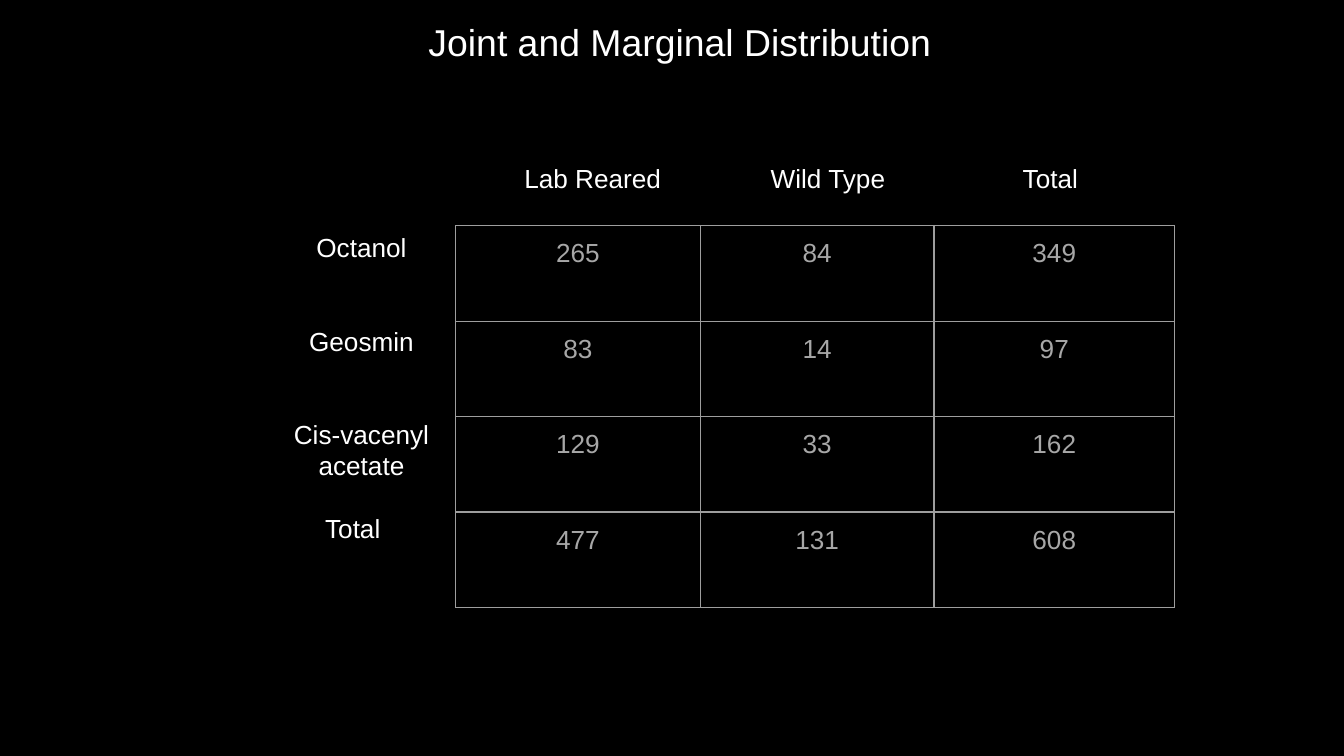
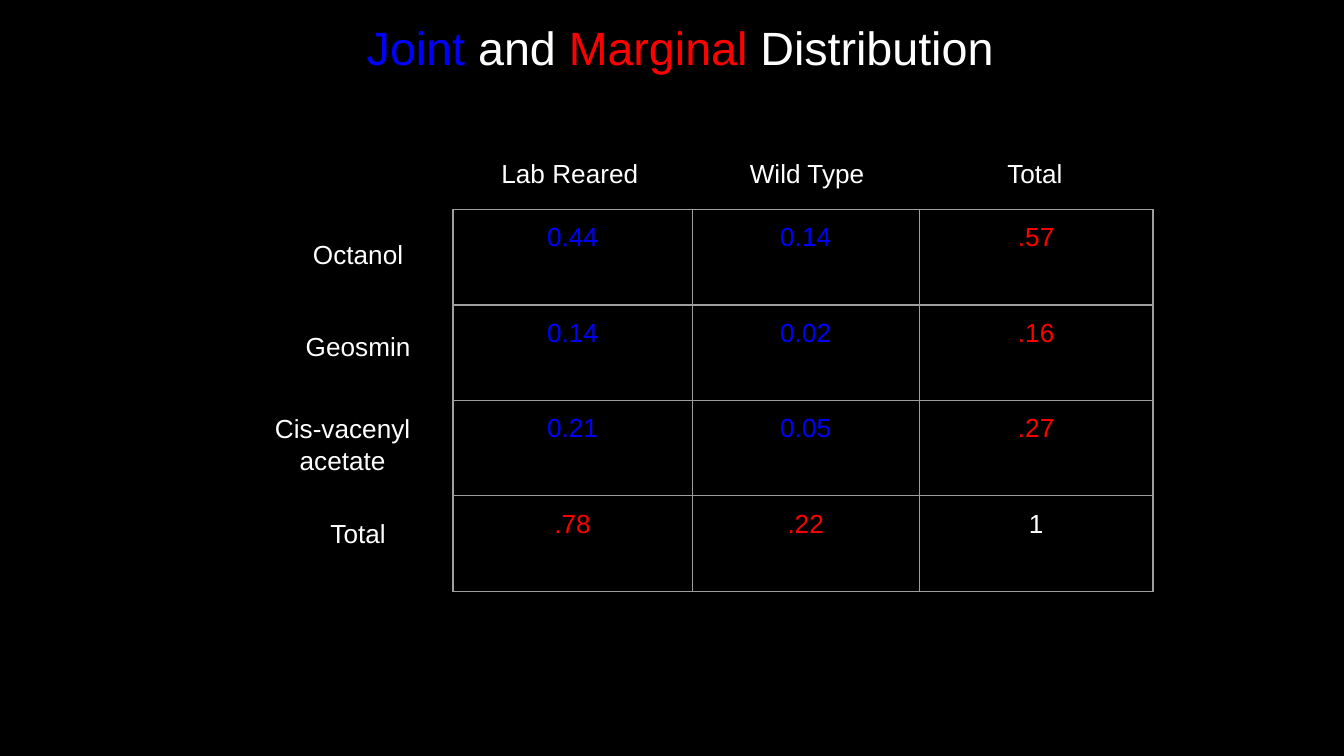
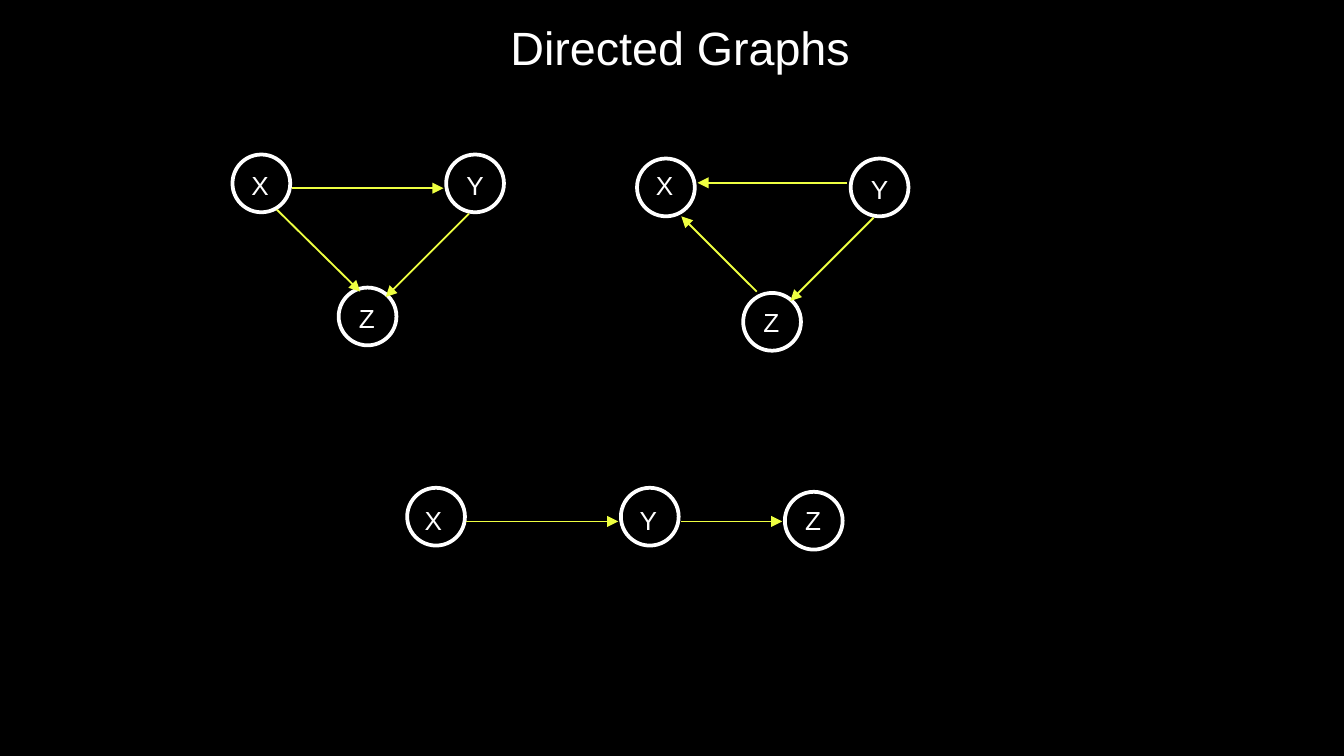
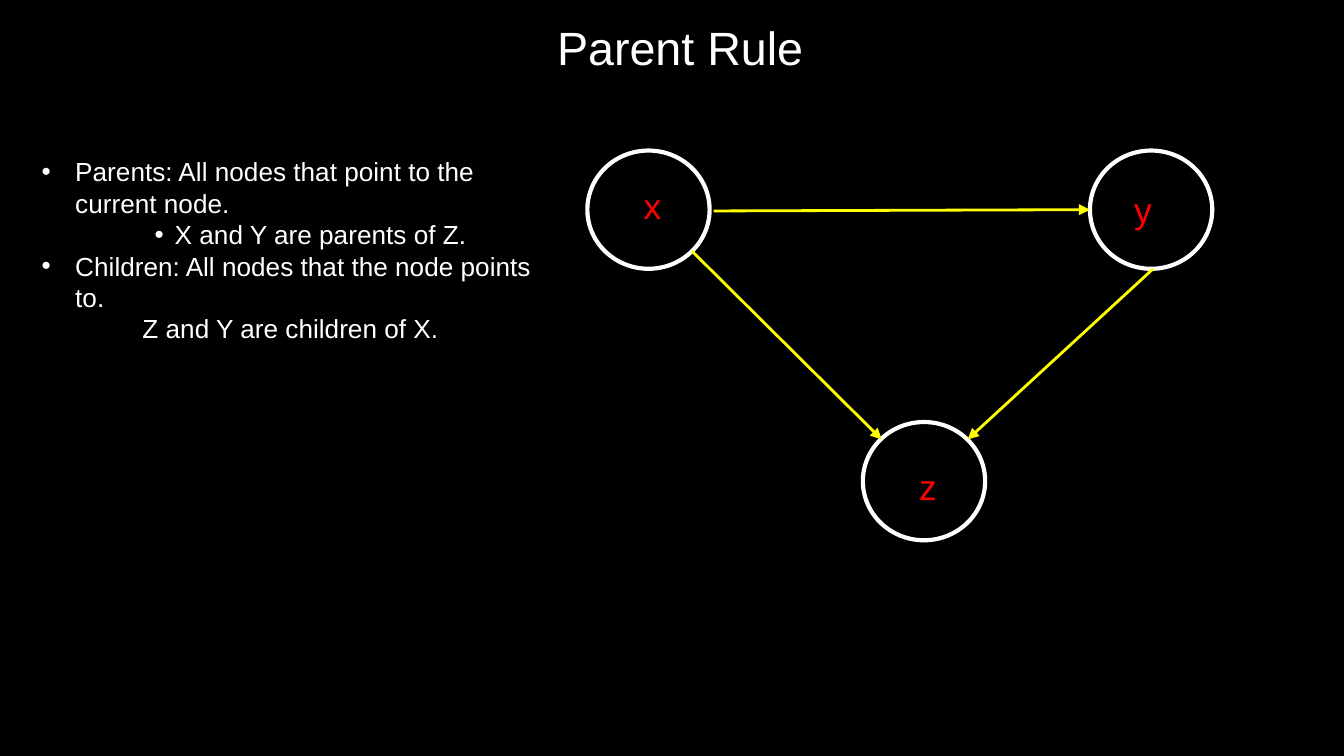
from lxml import etree
from pptx import Presentation
from pptx.dml.color import RGBColor
from pptx.enum.shapes import MSO_CONNECTOR, MSO_SHAPE
from pptx.enum.text import MSO_ANCHOR, MSO_AUTO_SIZE, PP_ALIGN
from pptx.oxml.ns import qn
from pptx.util import Inches, Pt

CENTER, LEFT = PP_ALIGN.CENTER, PP_ALIGN.LEFT
TOP = MSO_ANCHOR.TOP
NO_AUTOSIZE = MSO_AUTO_SIZE.NONE
ELLIPSE = MSO_SHAPE.OVAL
STRAIGHT = MSO_CONNECTOR.STRAIGHT

FONT = "Arial"
COLORS = {
    "background": "000000",
    "text": "FFFFFF",
    "count": "A7A7A7",
    "grid": "9E9E9E",
    "joint": "0000FF",
    "marginal": "FF0000",
    "lime": "EEFF41",
    "yellow": "FFFF00",
}
COLUMN_NAMES = ["Lab Reared", "Wild Type", "Total"]
ROW_NAMES = ["Octanol", "Geosmin", "Cis-vacenyl acetate", "Total"]
ROW_HEIGHT = 0.71


def rgb(color):
    return RGBColor.from_string(COLORS[color])


class Deck:
    def __init__(self):
        self.prs = Presentation()
        self.prs.slide_width = Inches(10)
        self.prs.slide_height = Inches(10 * 9 / 16)
        self.slide = None

    def new_slide(self, title_runs, size=25):
        self.slide = self.prs.slides.add_slide(self.prs.slide_layouts[6])
        fill = self.slide.background.fill
        fill.solid()
        fill.fore_color.rgb = rgb("background")
        self.text((0.4, 0.04, 9.32, 0.63), title_runs, size, align=CENTER)

    def runs(self, paragraph, runs, size):
        for words, color in runs:
            run = paragraph.add_run()
            run.text = words
            run.font.name = FONT
            run.font.size = Pt(size)
            run.font.color.rgb = rgb(color)

    def frame(self, box, inset=0.1, wrap=True):
        frame = self.slide.shapes.add_textbox(*map(Inches, box)).text_frame
        frame.word_wrap = wrap
        frame.auto_size = NO_AUTOSIZE
        frame.vertical_anchor = TOP
        frame.margin_left = frame.margin_right = Inches(inset)
        frame.margin_top = frame.margin_bottom = Inches(inset)
        return frame

    def text(self, box, runs, size=14, align=LEFT, inset=0.1, wrap=True):
        paragraph = self.frame(box, inset, wrap).paragraphs[0]
        paragraph.alignment = align
        self.runs(paragraph, runs, size)

    def outline(self, box, items):
        frame = self.frame(box, inset=0)
        for index, (words, level, margin, indent, bullet) in enumerate(items):
            paragraph = frame.add_paragraph() if index else frame.paragraphs[0]
            paragraph.level = level
            paragraph.alignment = LEFT
            properties = paragraph._p.get_or_add_pPr()
            properties.set("marL", str(Inches(margin)))
            properties.set("indent", str(Inches(indent)))
            if bullet:
                etree.SubElement(properties, qn("a:buFont"), typeface=FONT)
                etree.SubElement(properties, qn("a:buChar"), char=bullet)
            else:
                etree.SubElement(properties, qn("a:buNone"))
            self.runs(paragraph, [(words, "text")], 14)

    def cell_borders(self, cell):
        properties = cell._tc.get_or_add_tcPr()
        for side in ("lnL", "lnR", "lnT", "lnB"):
            line = etree.SubElement(properties, qn(f"a:{side}"), w=str(Pt(0.75)))
            fill = etree.SubElement(line, qn("a:solidFill"))
            etree.SubElement(fill, qn("a:srgbClr"), val=COLORS["grid"])

    def table(self, left, top, widths, rows, color_of):
        table = self.slide.shapes.add_table(
            len(rows), len(widths), Inches(left), Inches(top),
            Inches(sum(widths)), Inches(ROW_HEIGHT * len(rows))).table
        table.first_row = table.horz_banding = False
        for column, width in zip(table.columns, widths):
            column.width = Inches(width)
        for r, values in enumerate(rows):
            table.rows[r].height = Inches(ROW_HEIGHT)
            for c, value in enumerate(values):
                cell = table.cell(r, c)
                cell.margin_left = cell.margin_right = Inches(0.1)
                cell.margin_top = cell.margin_bottom = Inches(0.1)
                self.cell_borders(cell)
                cell.fill.background()
                paragraph = cell.text_frame.paragraphs[0]
                paragraph.alignment = CENTER
                self.runs(paragraph, [(value, color_of(r, c))], 14)

    def table_names(self, column_boxes, row_boxes):
        names = COLUMN_NAMES + ROW_NAMES
        for name, box in zip(names, column_boxes + row_boxes):
            self.text(box, [(name, "text")], align=CENTER)

    def circle(self, left, top, width, height, weight):
        circle = self.slide.shapes.add_shape(
            ELLIPSE, Inches(left), Inches(top), Inches(width), Inches(height))
        circle.shadow.inherit = False
        circle.fill.background()
        circle.line.color.rgb = rgb("text")
        circle.line.width = Pt(weight)

    def arrow(self, start, end, color, weight):
        arrow = self.slide.shapes.add_connector(
            STRAIGHT, *map(Inches, start + end))
        arrow.line.color.rgb = rgb(color)
        arrow.line.width = Pt(weight)
        etree.SubElement(arrow.line._get_or_add_ln(), qn("a:tailEnd"), type="triangle")
        etree.SubElement(arrow._element.spPr, qn("a:effectLst"))

    def small_node(self, name, left, top, name_left, name_top):
        self.circle(left, top, 0.43, 0.43, 2)
        self.text((name_left, name_top, 0.14, 0.22), [(name, "text")],
                  inset=0, wrap=False)

    def large_node(self, name, left, top, name_left, name_top, name_width):
        self.circle(left, top, 0.91, 0.88, 2.25)
        self.text((name_left, name_top, name_width, 0.5), [(name, "marginal")], 19)


def share_color(row, column):
    totals = (row == len(ROW_NAMES) - 1) + (column == len(COLUMN_NAMES) - 1)
    return ("joint", "marginal", "text")[totals]


def counts_slide(deck):
    deck.new_slide([("Joint and Marginal Distribution", "text")], size=20)
    counts = [["265", "84", "349"], ["83", "14", "97"],
              ["129", "33", "162"], ["477", "131", "608"]]
    deck.table(3.39, 1.68, [1.82, 1.74, 1.79], counts, lambda row, column: "count")
    deck.table_names(
        [(3.55, 1.11, 1.72, 0.41), (5.27, 1.11, 1.78, 0.41), (7.04, 1.11, 1.55, 0.41)],
        [(1.99, 1.62, 1.4, 0.69), (1.99, 2.32, 1.4, 0.69),
         (1.99, 3.01, 1.4, 0.69), (2.24, 3.71, 0.77, 0.69)])


def shares_slide(deck):
    deck.new_slide([("Joint", "joint"), (" and ", "text"),
                    ("Marginal", "marginal"), (" Distribution", "text")])
    shares = [["0.44", "0.14", ".57"], ["0.14", "0.02", ".16"],
              ["0.21", "0.05", ".27"], [".78", ".22", "1"]]
    deck.table(3.37, 1.56, [1.78, 1.69, 1.74], shares, share_color)
    deck.table_names(
        [(3.4, 1.07, 1.68, 0.69), (5.14, 1.07, 1.73, 0.69), (6.94, 1.07, 1.52, 0.69)],
        [(1.96, 1.67, 1.41, 0.69), (1.96, 2.36, 1.41, 0.69),
         (1.71, 2.97, 1.68, 0.69), (2.33, 3.75, 0.67, 0.69)])


def graphs_slide(deck):
    deck.new_slide([("Directed Graphs", "text")])
    nodes = [
        ("X", 1.73, 1.15, 1.87, 1.26),
        ("Z", 2.52, 2.14, 2.67, 2.25),
        ("Y", 3.32, 1.15, 3.47, 1.26),
        ("X", 4.74, 1.18, 4.88, 1.26),
        ("Z", 5.53, 2.18, 5.68, 2.28),
        ("Y", 6.33, 1.18, 6.48, 1.29),
        ("X", 3.03, 3.63, 3.16, 3.75),
        ("Y", 4.62, 3.63, 4.76, 3.75),
        ("Z", 5.84, 3.66, 5.99, 3.75),
    ]
    edges = [
        ((2.17, 1.4), (3.3, 1.4)), ((2.06, 1.56), (2.68, 2.17)),
        ((3.49, 1.59), (2.87, 2.21)), ((5.63, 2.17), (5.07, 1.61)),
        ((6.5, 1.62), (5.88, 2.24)), ((6.3, 1.36), (5.19, 1.36)),
        ((3.47, 3.88), (4.6, 3.88)), ((5.07, 3.88), (5.82, 3.88)),
    ]
    for node in nodes:
        deck.small_node(*node)
    for start, end in edges:
        deck.arrow(start, end, "lime", 1)


def parents_slide(deck):
    deck.new_slide([("Parent Rule", "text")])
    deck.outline((0.31, 1.16, 3.78, 1.33), [
        ("Parents: All nodes that point to the current node.", 0, 0.25, -0.25, "•"),
        ("X and Y are parents of Z.", 2, 0.99, -0.15, "•"),
        ("Children: All nodes that the node points to.", 0, 0.25, -0.25, "•"),
        ("Z and Y are children of X.", 3, 0, 0.75, None),
    ])
    nodes = [("x", 4.37, 1.12, 4.69, 1.27, 0.28),
             ("y", 8.11, 1.12, 8.34, 1.3, 0.33),
             ("z", 6.42, 3.14, 6.74, 3.36, 0.28)]
    edges = [((5.31, 1.57), (8.11, 1.56)),
             ((5.15, 1.87), (6.56, 3.27)),
             ((8.58, 2), (7.2, 3.27))]
    for node in nodes:
        deck.large_node(*node)
    for start, end in edges:
        deck.arrow(start, end, "yellow", 1.5)


def main():
    deck = Deck()
    counts_slide(deck)
    shares_slide(deck)
    graphs_slide(deck)
    parents_slide(deck)
    deck.prs.save("out.pptx")


if __name__ == "__main__":
    main()
